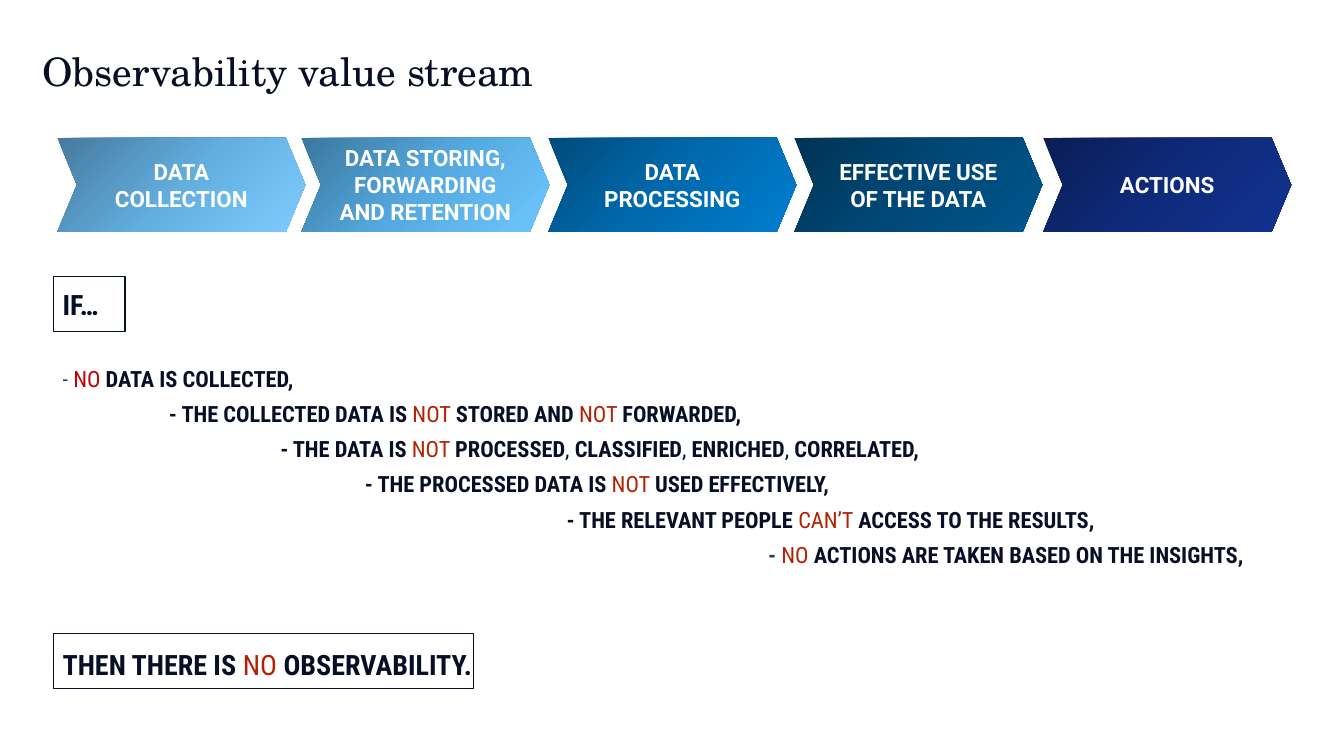
"""Builds the observability value stream slide."""
from copy import deepcopy
from dataclasses import dataclass
from typing import NamedTuple

from lxml.etree import SubElement
from pptx import Presentation
from pptx.dml.color import RGBColor
from pptx.enum.shapes import MSO_SHAPE as Preset
from pptx.enum.text import MSO_ANCHOR as Anchor, MSO_AUTO_SIZE as AutoSize, PP_ALIGN as Align
from pptx.oxml.ns import qn
from pptx.shapes.base import BaseShape
from pptx.slide import Slide
from pptx.text.text import TextFrame, _Paragraph as Paragraph
from pptx.util import Pt


@dataclass(frozen=True)
class Theme:
    title_font: str = "TeX Gyre Schola"
    stage_font: str = "Roboto"
    body_font: str = "Roboto Condensed"
    title_size: float = 28
    frame_size: float = 20
    text_size: float = 16
    ink: str = "070F26"
    slate: str = "2E404D"
    red: str = "C00000"
    rust: str = "B22000"
    white: str = "FFFFFF"


THEME = Theme()


class Box(NamedTuple):
    left: float
    top: float
    width: float
    height: float


class Style(NamedTuple):
    color: str
    bold: bool


class Piece(NamedTuple):
    text: str
    style: Style


class Stage(NamedTuple):
    label: str
    left: float
    gradient: tuple[str, str, str]


class Line(NamedTuple):
    pieces: tuple[Piece, ...]
    indent: float = 0
    space_before: float = 6
    size: float = THEME.text_size


STRONG = Style(THEME.ink, True)
LIGHT = Style(THEME.ink, False)
NEGATION = Style(THEME.rust, False)


def strong(text: str) -> Piece:
    return Piece(text, STRONG)


def negation(text: str) -> Piece:
    return Piece(text, NEGATION)


COMMA = Piece(", ", LIGHT)

TITLE_BOX = Box(30.2, 37.4, 869.8, 41.8)
BODY_BOX = Box(41.8, 174.2, 918, 342)
BODY_INSET_TOP = 31
STAGE_TOP, STAGE_WIDTH, STAGE_HEIGHT = 98.6, 177.1, 67
FRAMES = (Box(38.2, 197.3, 51.1, 39.6), Box(38.2, 452.2, 300.2, 39.6))

STAGES = (
    Stage("DATA COLLECTION", 41, ("457A9D", "62AEDF", "7ECCFF")),
    Stage("DATA STORING, FORWARDING AND RETENTION", 215.3, ("3B779D", "54A9E0", "6FC6FF")),
    Stage("DATA PROCESSING", 391.7, ("004B7B", "006AAF", "007ED0")),
    Stage("EFFECTIVE USE OF THE DATA", 567.4, ("003354", "004877", "00568D")),
    Stage("ACTIONS", 745.2, ("0A1D56", "0E2A7A", "113290")),
)

LINES = (
    Line((strong("IF…"),), space_before=0, size=THEME.frame_size),
    Line((Piece("- ", Style(THEME.slate, False)), Piece("NO ", Style(THEME.red, False)),
          strong("DATA IS COLLECTED,")), space_before=31.3),
    Line((strong("- THE COLLECTED DATA IS "), negation("NOT "), strong("STORED AND "),
          negation("NOT "), strong("FORWARDED,")), 76),
    Line((strong("- THE DATA IS "), negation("NOT "), strong("PROCESSED"), COMMA,
          strong("CLASSIFIED"), COMMA, strong("ENRICHED"), COMMA, strong("CORRELATED,")), 155.5),
    Line((strong("- THE PROCESSED DATA IS "), negation("NOT "), strong("USED EFFECTIVELY,")), 216),
    Line((strong("- THE RELEVANT PEOPLE "), negation("CAN’T "),
          strong("ACCESS TO THE RESULTS,")), 360),
    Line((Piece("- ", Style(THEME.slate, True)), negation("NO "),
          strong("ACTIONS ARE TAKEN BASED ON THE INSIGHTS,")), 504),
    Line((strong("THEN THERE IS "), negation("NO"), strong(" OBSERVABILITY.")),
         space_before=56.6, size=THEME.frame_size),
)


def place(shape: BaseShape, box: Box) -> None:
    shape.left, shape.top, shape.width, shape.height = map(Pt, box)


def set_insets(frame: TextFrame, horizontal: float, top: float, bottom: float) -> None:
    frame.margin_left = frame.margin_right = Pt(horizontal)
    frame.margin_top, frame.margin_bottom = Pt(top), Pt(bottom)
    frame.vertical_anchor = Anchor.TOP
    frame.auto_size = AutoSize.NONE
    frame.word_wrap = True


def add_run(paragraph: Paragraph, piece: Piece, font_name: str, size: float) -> None:
    run = paragraph.add_run()
    run.text = piece.text
    run.font.name = font_name
    run.font.size = Pt(size)
    run.font.bold = piece.style.bold
    run.font.color.rgb = RGBColor.from_string(piece.style.color)


def write_title(slide: Slide) -> None:
    title = slide.shapes.title
    place(title, TITLE_BOX)
    set_insets(title.text_frame, 0, 0, 0)
    paragraph = title.text_frame.paragraphs[0]
    paragraph.alignment = Align.LEFT
    paragraph.line_spacing = 0.9
    add_run(paragraph, Piece("Observability value stream", LIGHT),
            THEME.title_font, THEME.title_size)


def draw_stage(slide: Slide, stage: Stage) -> None:
    box = Box(stage.left, STAGE_TOP, STAGE_WIDTH, STAGE_HEIGHT)
    shape = slide.shapes.add_shape(Preset.CHEVRON, *map(Pt, box))
    shape.adjustments[0] = 0.208
    shape.shadow.inherit = False
    shape.line.fill.background()
    shape.fill.gradient()
    shape.fill.gradient_angle = 315
    stop_list = shape._element.spPr.find(".//" + qn("a:gsLst"))
    stop_list.append(deepcopy(stop_list[0]))
    for index, (stop, color) in enumerate(zip(shape.fill.gradient_stops, stage.gradient)):
        stop.position = index / 2
        stop.color.rgb = RGBColor.from_string(color)
    frame = shape.text_frame
    frame.word_wrap = True
    frame.vertical_anchor = Anchor.MIDDLE
    paragraph = frame.paragraphs[0]
    paragraph.alignment = Align.CENTER
    add_run(paragraph, Piece(stage.label, Style(THEME.white, True)),
            THEME.stage_font, THEME.text_size)


def write_body(slide: Slide) -> None:
    body = slide.placeholders[1]
    place(body, BODY_BOX)
    frame = body.text_frame
    set_insets(frame, 2.9, BODY_INSET_TOP, 5.8)
    for index, line in enumerate(LINES):
        paragraph = frame.add_paragraph() if index else frame.paragraphs[0]
        properties = paragraph._p.get_or_add_pPr()
        properties.set("marL", str(Pt(line.indent)))
        properties.set("indent", "0")
        SubElement(properties, qn("a:buNone"))
        paragraph.alignment = Align.LEFT
        paragraph.space_before = Pt(line.space_before)
        for piece in line.pieces:
            add_run(paragraph, piece, THEME.body_font, line.size)


def draw_frame(slide: Slide, box: Box) -> None:
    shape = slide.shapes.add_shape(Preset.RECTANGLE, *map(Pt, box))
    shape.shadow.inherit = False
    shape.fill.background()
    shape.line.color.rgb = RGBColor.from_string(THEME.ink)
    shape.line.width = Pt(0.75)


def main() -> None:
    presentation = Presentation()
    presentation.slide_width, presentation.slide_height = Pt(960), Pt(540)
    slide = presentation.slides.add_slide(presentation.slide_layouts[1])
    write_title(slide)
    for stage in STAGES:
        draw_stage(slide, stage)
    write_body(slide)
    for box in FRAMES:
        draw_frame(slide, box)
    presentation.save("out.pptx")


if __name__ == "__main__":
    main()
